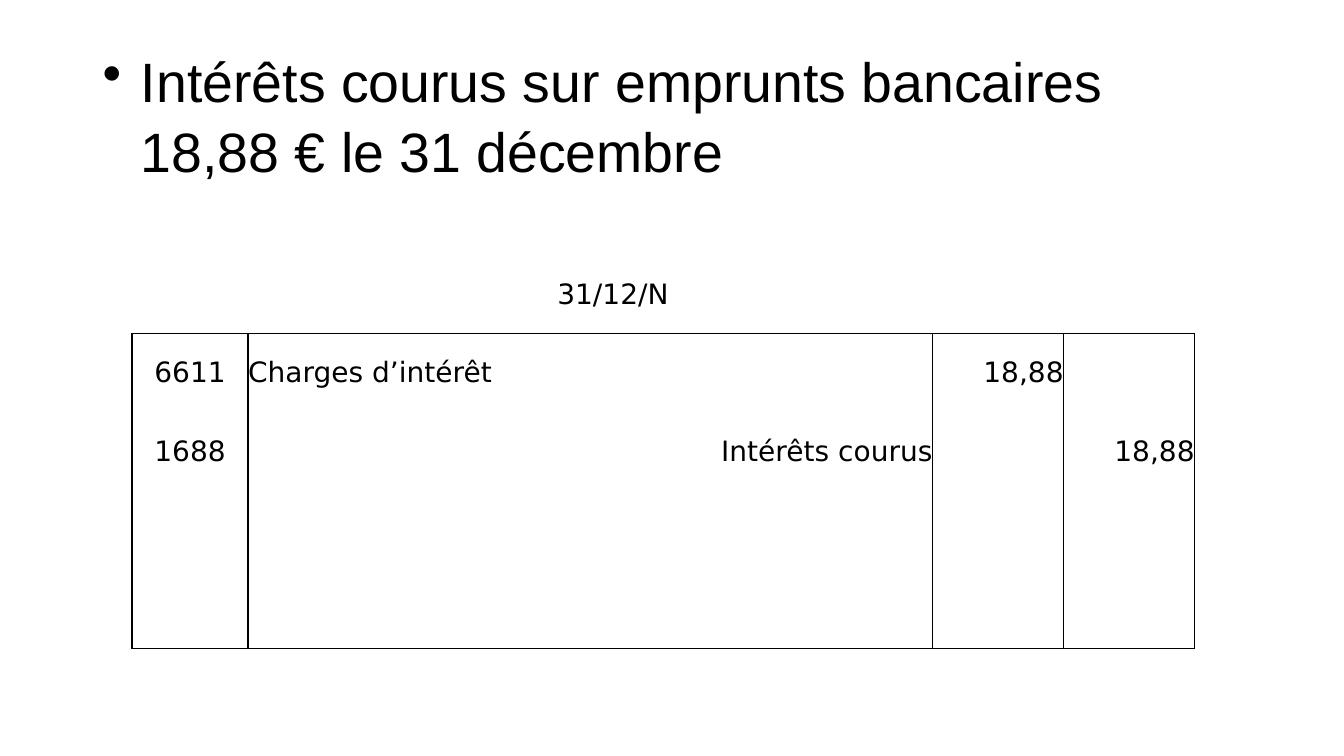
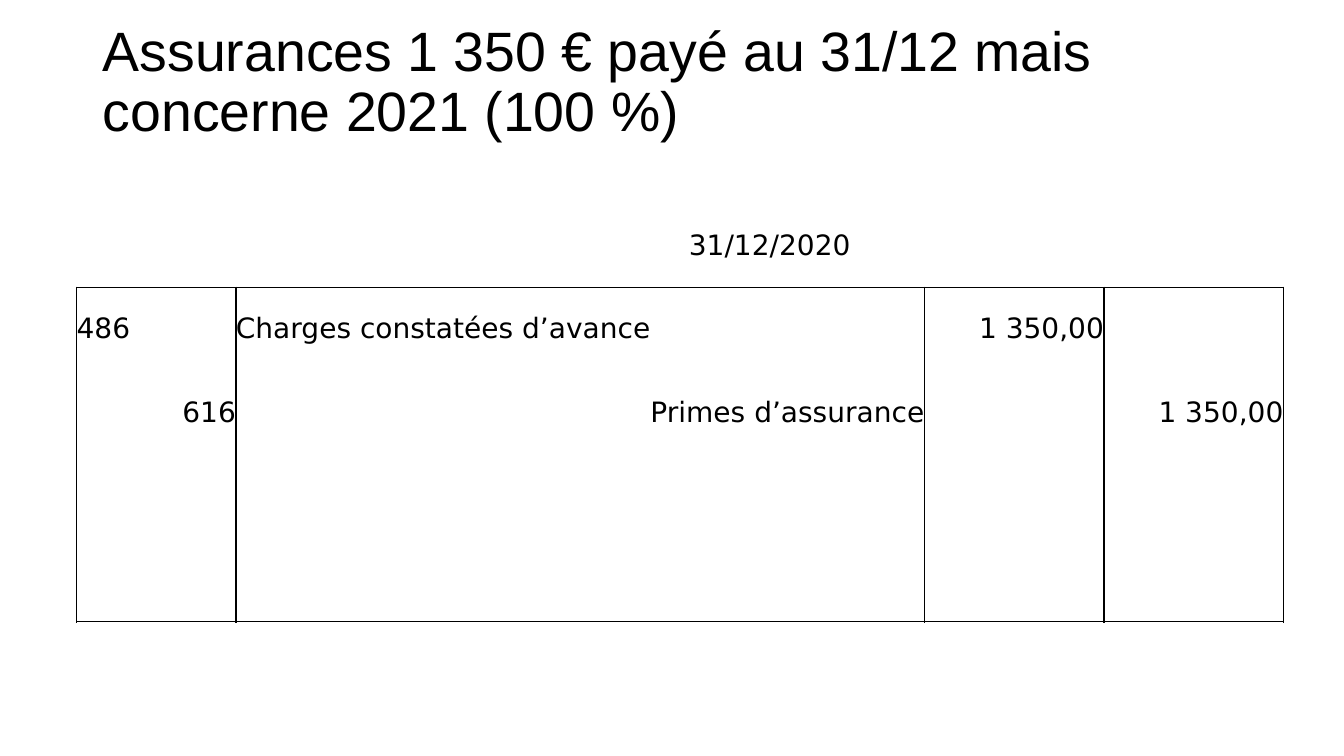
from pptx import Presentation
from pptx.dml.color import RGBColor
from pptx.enum.text import MSO_ANCHOR, PP_ALIGN
from pptx.oxml import parse_xml
from pptx.oxml.ns import nsdecls
from pptx.util import Emu, Pt

# Content: each entry has code, label, debit, credit as (text, alignment)
NONE = ("", "l")
SLIDES = [
    {"title": "Intérêts courus sur emprunts bancaires 18,88 € le 31 décembre",
     "bullet": True, "top": 40, "line": 1.06,
     "date": "31/12/N", "at": (131, 253), "row": 78,
     "cols": [115, 294, 136, 249, 130, 130],
     "entries": [
         [("6611", "c"), ("Charges d’intérêt", "l"), ("18,88", "r"), NONE],
         [("1688", "c"), ("Intérêts courus", "r"), NONE, ("18,88", "r")]]},
    {"title": "Assurances 1 350 € payé au 31/12 mais concerne 2021 (100 %)",
     "bullet": False, "top": 10, "line": 0.9,
     "date": "31/12/2020", "at": (76, 202), "row": 83,
     "cols": [158, 404, 251, 28, 178, 178],
     "entries": [
         [("486", "l"), ("Charges constatées d’avance", "l"),
          ("1 350,00", "r"), NONE],
         [("616", "r"), ("Primes d’assurance", "r"),
          NONE, ("1 350,00", "r")]]},
]

# Shared style
COLORS = {"ink": "000000"}
TITLE_FONT, CELL_FONT = ("Arial", 39.6), ("DejaVu Sans", 20)
ALIGN = {"l": PP_ALIGN.LEFT, "c": PP_ALIGN.CENTER, "r": PP_ALIGN.RIGHT}
ROWS = 5
DATE_COL = 2
FIELDS = (0, 1, 4, 5)  # code, label, debit, credit
LABEL = (1, 3)         # first and last column under the label


def px(n):
    return Emu(n * 9144)


def style(para, face, align="l"):
    para.alignment = ALIGN[align]
    for run in para.runs:
        run.font.name, run.font.size = face[0], Pt(face[1])
        run.font.color.rgb = RGBColor.from_string(COLORS["ink"])


def add_title(slide, data):
    box = slide.shapes.add_textbox(px(92), px(data["top"]), px(1150), px(145))
    frame = box.text_frame
    frame.word_wrap = True
    frame.vertical_anchor = MSO_ANCHOR.MIDDLE
    frame.text = data["title"]
    para = frame.paragraphs[0]
    para.line_spacing = data["line"]
    if data["bullet"]:
        para.space_after = Pt(8)
        props = para._p.get_or_add_pPr()
        props.set("marL", str(px(38)))
        props.set("indent", str(px(-38)))
        props.append(parse_xml(f'<a:buChar {nsdecls("a")} char="•"/>'))
    style(para, TITLE_FONT)


def set_borders(cell, drawn):
    props = cell._tc.get_or_add_tcPr()
    for i, side in enumerate("LRTB"):
        fill = (f'<a:solidFill><a:srgbClr val="{COLORS["ink"]}"/></a:solidFill>'
                if side in drawn else "<a:noFill/>")
        props.insert(i, parse_xml(
            f'<a:ln{side} {nsdecls("a")} w="{Pt(1)}">{fill}</a:ln{side}>'))


def sides(row, col):
    if row == 0:
        return "B"
    drawn = "L" if col in FIELDS else ""
    if col != DATE_COL:
        drawn += "R"
    if row == 1:
        drawn += "T"
    if row == ROWS - 1:
        drawn += "B"
    return drawn


def put(cell, text, align):
    cell.text = text
    style(cell.text_frame.paragraphs[0], CELL_FONT, align)


def add_journal(slide, data):
    cols, high = data["cols"], data["row"]
    left, top = data["at"]
    table = slide.shapes.add_table(ROWS, len(cols), px(left), px(top),
                                   px(sum(cols)), px(high * ROWS)).table
    table.first_row = table.horz_banding = False
    for col, wide in zip(table.columns, cols):
        col.width = px(wide)

    # Frame
    for r, row in enumerate(table.rows):
        row.height = px(high)
        for c, cell in enumerate(row.cells):
            cell.fill.background()
            cell.vertical_anchor = MSO_ANCHOR.MIDDLE
            cell.margin_left = cell.margin_right = 0
            cell.margin_top = cell.margin_bottom = 0
            set_borders(cell, sides(r, c))
        if r:
            table.cell(r, LABEL[0]).merge(table.cell(r, LABEL[1]))

    # Date and entries
    put(table.cell(0, DATE_COL), data["date"], "c")
    for r, entry in enumerate(data["entries"], 1):
        for c, (text, align) in zip(FIELDS, entry):
            if text:
                put(table.cell(r, c), text, align)


def main():
    deck = Presentation()
    deck.slide_width, deck.slide_height = px(1333), px(750)
    for data in SLIDES:
        slide = deck.slides.add_slide(deck.slide_layouts[6])
        add_title(slide, data)
        add_journal(slide, data)
    deck.save("out.pptx")


if __name__ == "__main__":
    main()
